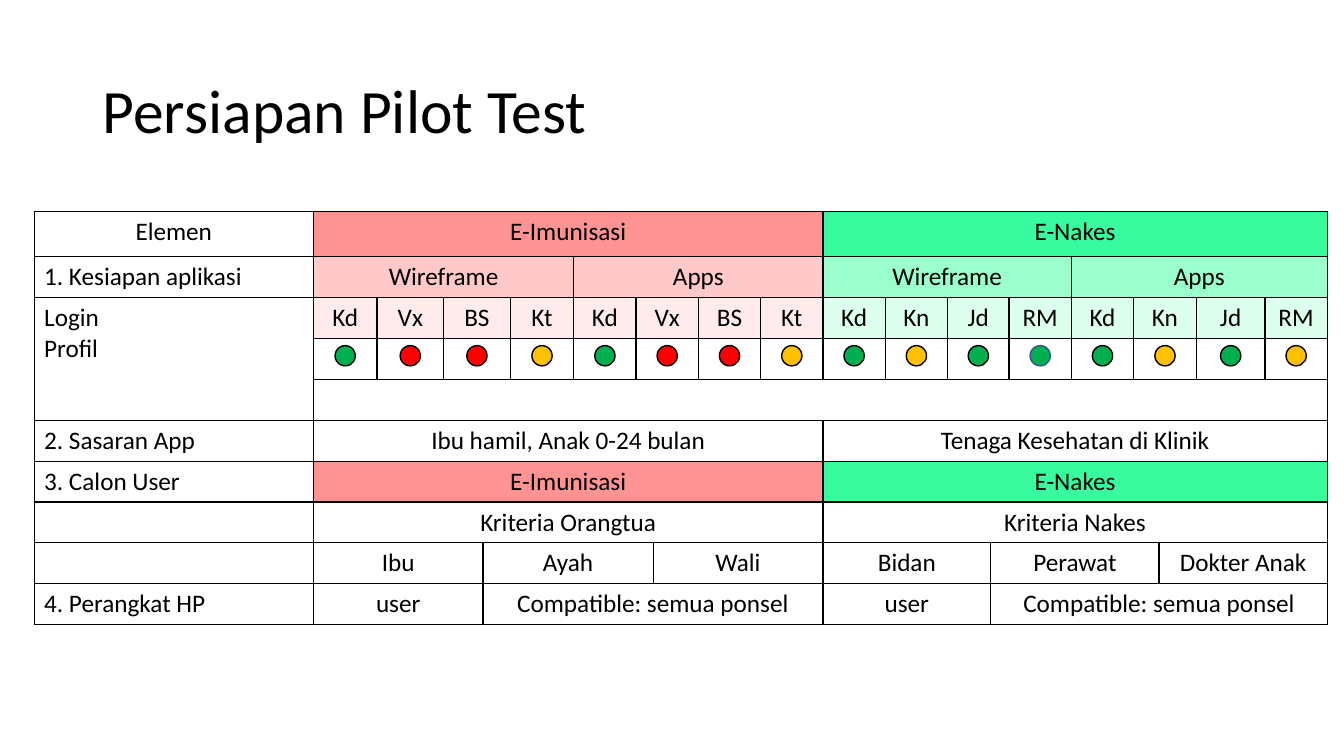
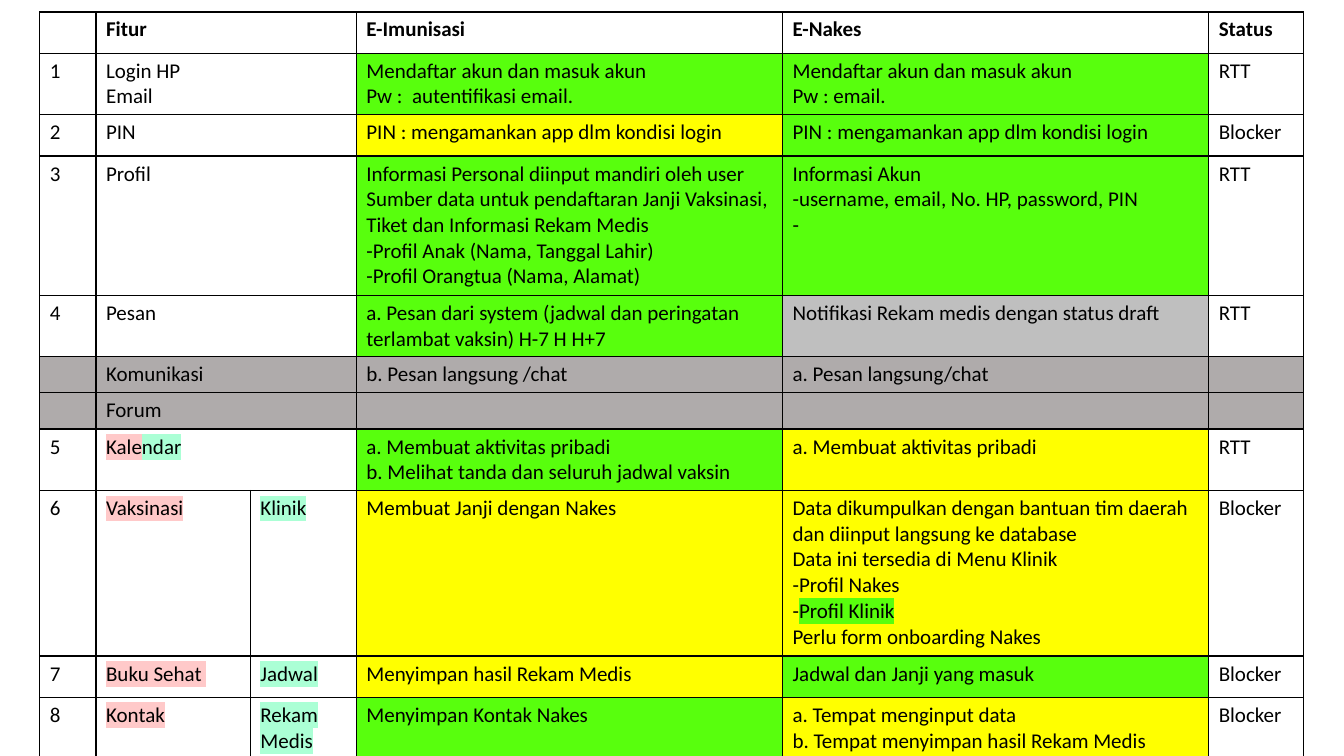
from lxml import etree
from pptx import Presentation
from pptx.dml.color import RGBColor
from pptx.enum.shapes import MSO_SHAPE
from pptx.enum.text import MSO_ANCHOR, PP_ALIGN
from pptx.oxml.ns import qn
from pptx.util import Cm, Pt

OVAL = MSO_SHAPE.OVAL
MIDDLE = MSO_ANCHOR.MIDDLE
LEFT, CENTER = PP_ALIGN.LEFT, PP_ALIGN.CENTER

FONT = "Calibri"
BLACK = RGBColor(0x00, 0x00, 0x00)
CORAL = RGBColor(0xFF, 0x93, 0x93)
ROSE = RGBColor(0xFF, 0xC9, 0xC9)
BLUSH = RGBColor(0xFF, 0xEB, 0xEB)
JADE = RGBColor(0x38, 0xFA, 0x9E)
MINT = RGBColor(0x9B, 0xFF, 0xCD)
FOAM = RGBColor(0xDD, 0xFF, 0xEE)
AQUA = RGBColor(0xAB, 0xFF, 0xD5)
LIME = RGBColor(0x58, 0xFF, 0x0D)
YELLOW = RGBColor(0xFF, 0xFF, 0x00)
SILVER = RGBColor(0xBF, 0xBF, 0xBF)
GRAY = RGBColor(0xAF, 0xAB, 0xAB)
GREEN = RGBColor(0x00, 0xB0, 0x50)
AMBER = RGBColor(0xFF, 0xC0, 0x00)
RED = RGBColor(0xFF, 0x00, 0x00)
BLUE = RGBColor(0x32, 0x54, 0x91)

# "|" parts the runs of a line; each run takes its own highlight
MARKS = {
    "Kale|ndar": (ROSE, AQUA),
    "Vaksinasi": (ROSE,),
    "Buku Sehat ": (ROSE,),
    "Kontak": (ROSE,),
    "Klinik": (AQUA,),
    "Jadwal": (AQUA,),
    "Rekam Medis": (AQUA,),
}


def write(frame, text, size=18, bold=False, align=LEFT, space=1.0, marks=(None, LIME)):
    """Put text in a frame, one paragraph a line, with highlighted runs."""
    frame.word_wrap = True
    for n, line in enumerate(text.split("\n")):
        para = frame.add_paragraph() if n else frame.paragraphs[0]
        para.alignment = align
        para.line_spacing = space
        if not line:
            etree.SubElement(para._p, qn("a:endParaRPr"), sz=str(size * 100))
            continue
        for part, mark in zip(line.split("|"), marks):
            run = para.add_run()
            run.text = part
            run.font.name = FONT
            run.font.size = Pt(size)
            run.font.bold = bold
            run.font.color.rgb = BLACK
            if mark is not None:
                light = etree.Element(qn("a:highlight"))
                etree.SubElement(light, qn("a:srgbClr"), val=str(mark))
                run.font.fill._xPr.find(qn("a:solidFill")).addnext(light)


def grid(slide, left, top, cols, rows, size, center=False):
    """Add a ruled table; each row gives height, spans, texts and fills."""
    frame = slide.shapes.add_table(len(rows), len(cols), Cm(left), Cm(top),
                                   Cm(sum(cols)), Cm(sum(row[0] for row in rows)))
    table = frame.table
    table.first_row = table.horz_banding = False
    for col, width in zip(table.columns, cols):
        col.width = Cm(width)
    for r, (height, spans, texts, fills) in enumerate(rows):
        table.rows[r].height = Cm(height)
        c = 0
        for span, text, fill in zip(spans, texts, fills):
            for k in range(c, c + span):
                cell = table.cell(r, k)
                props = cell._tc.get_or_add_tcPr()
                for side in ("lnL", "lnR", "lnT", "lnB"):
                    line = etree.SubElement(props, qn("a:" + side), w="12700")
                    solid = etree.SubElement(line, qn("a:solidFill"))
                    etree.SubElement(solid, qn("a:srgbClr"), val=str(BLACK))
                if fill is None:
                    cell.fill.background()
                else:
                    cell.fill.solid()
                    cell.fill.fore_color.rgb = fill
            first = table.cell(r, c)
            write(first.text_frame, text, size=size, bold=not center and r == 0,
                  align=CENTER if center and (c or r == 0) else LEFT,
                  marks=MARKS.get(text, (None, LIME)))
            if span > 1:
                first.merge(table.cell(r, c + span - 1))
            c += span
    return table


deck = Presentation()
deck.slide_width, deck.slide_height = Cm(33.87), Cm(19.05)
blank = deck.slide_layouts[6]

# Slide 1: pilot test readiness
slide = deck.slides.add_slide(blank)
title = slide.shapes.add_textbox(Cm(2.34), Cm(1.02), Cm(29.21), Cm(3.68)).text_frame
title.vertical_anchor = MIDDLE
write(title, "Persiapan Pilot Test", size=44, space=0.9)

HALF = (1, 10, 10)
QUART = (1, 5, 5, 5, 5)
FINE = (1, 1, 1, 2, 1, 1, 2, 1, 1, 1, 1, 2, 1, 1, 2, 1, 1)
THIRD = (1, 3, 4, 3, 3, 4, 3)
PHONE = (1, 3, 7, 3, 7)
PLAIN = [None] * 17
HEADS = (None, CORAL, JADE)
codes = ["Kd", "Vx", "BS", "Kt"] * 2 + ["Kd", "Kn", "Jd", "RM"] * 2
fit = "Compatible: semua ponsel"

left = 0.86
cols = [7.04, 1.6, 1.68, 0.99, 0.69, 1.6, 1.57, 0.43, 1.14, 1.57, 1.57,
        1.57, 1.57, 1.09, 0.46, 1.57, 1.57, 0.64, 0.94, 1.73, 1.57]
rows = [
    (1.14, HALF, ["Elemen", "E-Imunisasi", "E-Nakes"], HEADS),
    (1.03, QUART, ["1. Kesiapan aplikasi"] + ["Wireframe", "Apps"] * 2,
     (None, ROSE, ROSE, MINT, MINT)),
    (1.03, FINE, ["Login\nProfil"] + codes, [None] + [BLUSH] * 8 + [FOAM] * 8),
    (1.03, FINE, [""] * 17, PLAIN),
    (1.03, (1, 20), ["", ""], PLAIN),
    (1.03, HALF, ["2. Sasaran App", "Ibu hamil, Anak 0-24 bulan",
                  "Tenaga Kesehatan di Klinik"], PLAIN),
    (1.03, HALF, ["3. Calon User", "E-Imunisasi", "E-Nakes"], HEADS),
    (1.03, HALF, ["", "Kriteria Orangtua", "Kriteria Nakes"], PLAIN),
    (1.03, THIRD, ["", "Ibu", "Ayah", "Wali", "Bidan", "Perawat", "Dokter Anak"], PLAIN),
    (1.03, PHONE, ["4. Perangkat HP"] + ["user", fit] * 2, PLAIN),
]
table = grid(slide, left, 5.33, cols, rows, 18, center=True)
table.cell(2, 0).merge(table.cell(4, 0))

SIZE = 0.51
lights = [GREEN, RED, RED, AMBER] * 2 + [GREEN, AMBER, GREEN, GREEN, GREEN, AMBER, GREEN, AMBER]
c = 1
for n, (span, light) in enumerate(zip(FINE[1:], lights)):
    mid = left + sum(cols[:c]) + sum(cols[c:c + span]) / 2
    dot = slide.shapes.add_shape(OVAL, Cm(mid - SIZE / 2), Cm(8.71), Cm(SIZE), Cm(SIZE))
    dot.shadow.inherit = False
    dot.fill.solid()
    dot.fill.fore_color.rgb = light
    dot.line.color.rgb = BLUE if n == 11 else BLACK
    dot.line.width = Pt(1)
    c += span

# Slide 2: feature status
slide = deck.slides.add_slide(blank)
WHOLE = (1, 2, 1, 1, 1)
SPLIT = (1,) * 6
cols = [1.42, 3.89, 2.67, 10.74, 10.74, 2.39]
rows = [
    (1.04, WHOLE, ["", "Fitur", "E-Imunisasi", "E-Nakes", "Status"], PLAIN),
    (1.55, WHOLE, ["1", "Login HP\nEmail",
                   "Mendaftar akun dan masuk akun\nPw :  autentifikasi email. ",
                   "Mendaftar akun dan masuk akun\nPw : email. ", "RTT"],
     (None, None, LIME, LIME, None)),
    (1.04, WHOLE, ["2", "PIN", "PIN : mengamankan app dlm kondisi login",
                   "PIN : mengamankan app dlm kondisi login", "Blocker"],
     (None, None, YELLOW, LIME, None)),
    (3.51, WHOLE, ["3", "Profil ",
                   "Informasi Personal diinput mandiri oleh user\n"
                   "Sumber data untuk pendaftaran Janji Vaksinasi, "
                   "Tiket dan Informasi Rekam Medis \n"
                   "-Profil Anak (Nama, Tanggal Lahir)\n"
                   "-Profil Orangtua (Nama, Alamat)",
                   "Informasi Akun\n-username, email, No. HP, password, PIN\n-", "RTT"],
     (None, None, LIME, LIME, None)),
    (1.55, WHOLE, ["4", "Pesan",
                   "a. Pesan dari system (jadwal dan peringatan "
                   "terlambat vaksin) H-7 H H+7",
                   "Notifikasi Rekam medis dengan status draft", "RTT"],
     (None, None, LIME, SILVER, None)),
    (0.91, WHOLE, ["", "Komunikasi", "b. Pesan langsung /chat",
                   "a. Pesan langsung/chat", ""], [GRAY] * 5),
    (0.91, WHOLE, ["", "Forum", "", "", ""], [GRAY] * 5),
    (1.55, WHOLE, ["5", "Kale|ndar",
                   "a. Membuat aktivitas pribadi\n"
                   "b. Melihat tanda dan seluruh jadwal vaksin",
                   "a. Membuat aktivitas pribadi", "RTT"],
     (None, None, LIME, YELLOW, None)),
    (4.17, SPLIT, ["6", "Vaksinasi", "Klinik", "Membuat Janji dengan Nakes",
                   "Data dikumpulkan dengan bantuan tim daerah "
                   "dan diinput langsung ke database\n"
                   "Data ini tersedia di Menu Klinik\n-Profil Nakes\n"
                   "-|Profil Klinik\nPerlu form onboarding Nakes", "Blocker"],
     (None, None, None, YELLOW, YELLOW, None)),
    (1.04, SPLIT, ["7", "Buku Sehat ", "Jadwal", "Menyimpan hasil Rekam Medis",
                   "Jadwal dan Janji yang masuk", "Blocker"],
     (None, None, None, YELLOW, LIME, None)),
    (1.55, SPLIT, ["8", "Kontak", "Rekam Medis", "Menyimpan Kontak Nakes",
                   "a. Tempat menginput data\n"
                   "b. Tempat menyimpan hasil Rekam Medis ", "Blocker"],
     (None, None, None, LIME, YELLOW, None)),
]
grid(slide, 1, 0.3, cols, rows, 15)

deck.save("out.pptx")
